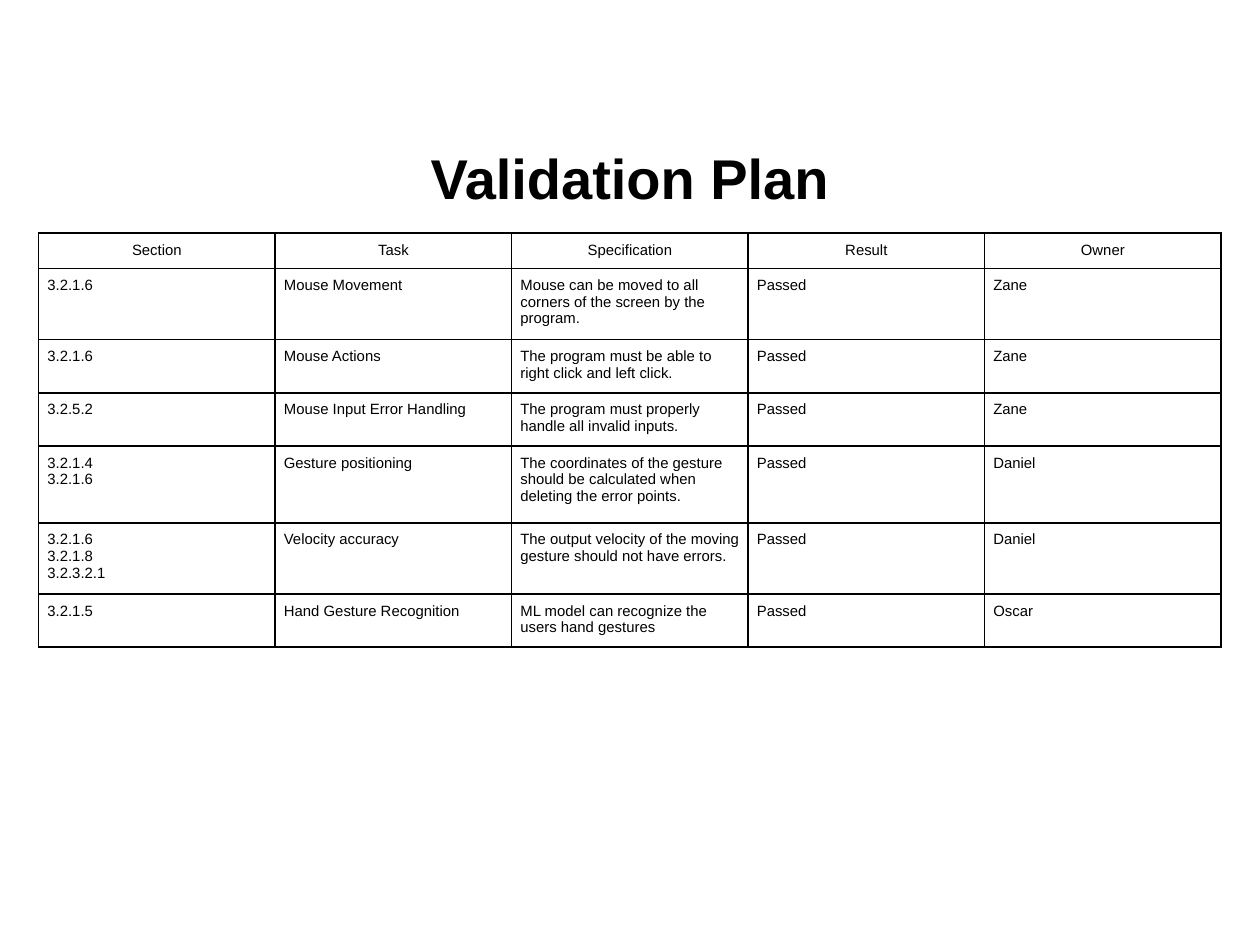
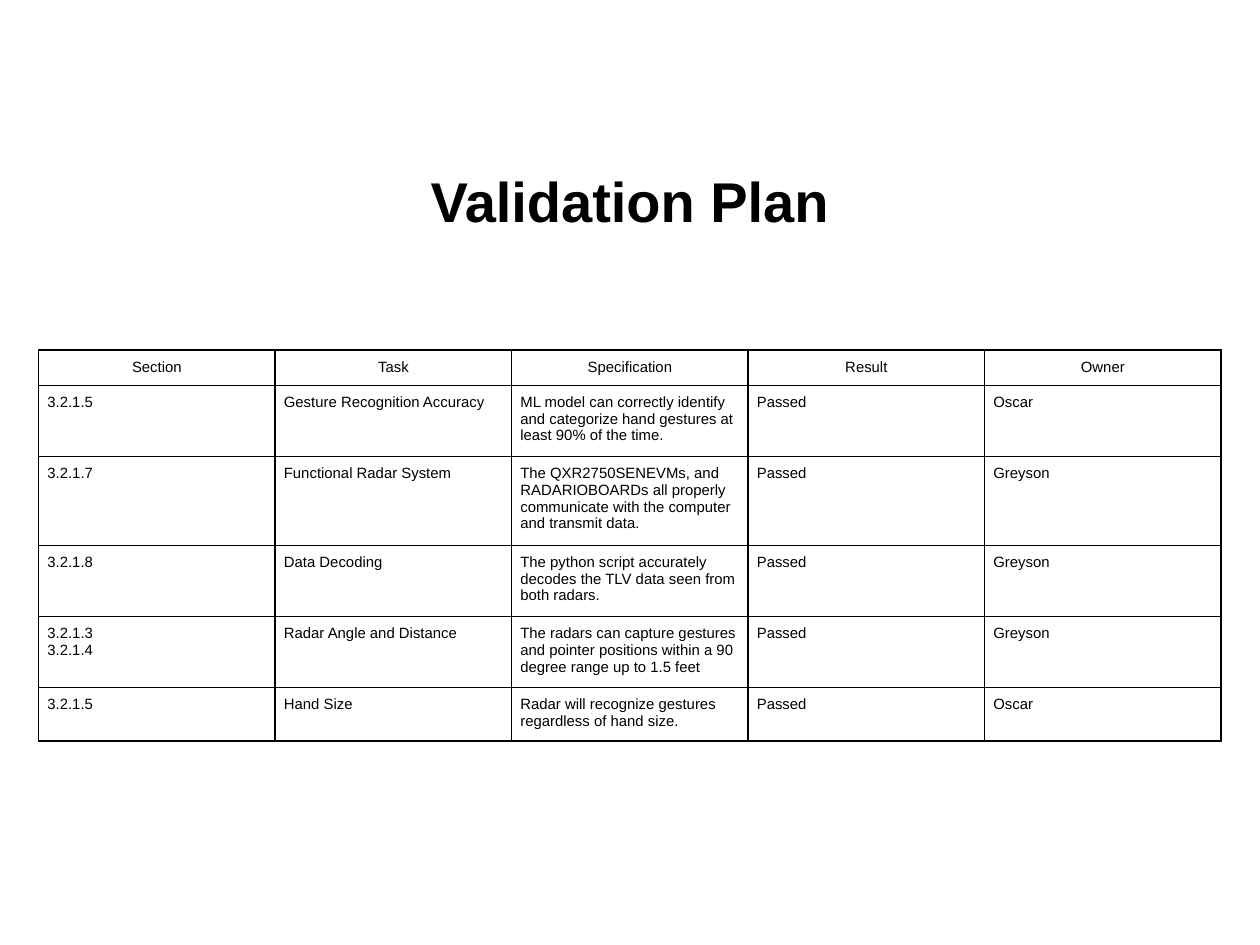
from dataclasses import dataclass

from lxml import etree
from pptx import Presentation
from pptx.dml.color import RGBColor
from pptx.enum import text
from pptx.oxml import ns
from pptx.util import Pt

BLACK = RGBColor(0x00, 0x00, 0x00)
FONT = "Arial"
TITLE_FONT = {"name": FONT, "size": Pt(32), "bold": True}
CELL_FONT = {"name": FONT, "size": Pt(8.5), "bold": False}
CELL_MARGINS = {f"margin_{side}": Pt(5) for side in ("left", "top", "right", "bottom")}
TITLE_LEFT, TITLE_WIDTH, TITLE_HEIGHT = 36, 648, 63
TABLE_LEFT, COLUMN_WIDTH = 22.1, 135.14
ONE_LINE_HEIGHT, EXTRA_LINE_HEIGHT = 19.3, 9.55
HEADINGS = ("Section", "Task", "Specification", "Result", "Owner")


@dataclass(frozen=True)
class Check:
    sections: str
    task: str
    specification: str
    owner: str
    lines: int
    extra_height: float = 0
    result: str = "Passed"

    @property
    def values(self) -> tuple[str, ...]:
        return self.sections, self.task, self.specification, self.result, self.owner

    @property
    def height(self) -> float:
        return row_height(self.lines) + self.extra_height


@dataclass(frozen=True)
class PlanSlide:
    title_top: float
    table_top: float
    checks: tuple[Check, ...]


PLAN_SLIDES = (
    PlanSlide(69.8, 133.2, (
        Check("3.2.1.6", "Mouse Movement",
              "Mouse can be moved to all corners of the screen by the program.", "Zane", 3, 2),
        Check("3.2.1.6", "Mouse Actions",
              "The program must be able to right click and left click.", "Zane", 2),
        Check("3.2.5.2", "Mouse Input Error Handling",
              "The program must properly handle all invalid inputs.", "Zane", 2),
        Check("3.2.1.4\n3.2.1.6", "Gesture positioning",
              "The coordinates of the gesture should be calculated when deleting the error points.",
              "Daniel", 3, 5.5),
        Check("3.2.1.6\n3.2.1.8\n3.2.3.2.1", "Velocity accuracy",
              "The output velocity of the moving gesture should not have errors.", "Daniel", 3),
        Check("3.2.1.5", "Hand Gesture Recognition",
              "ML model can recognize the users hand gestures", "Oscar", 2),
    )),
    PlanSlide(82.8, 200.1, (
        Check("3.2.1.5", "Gesture Recognition Accuracy",
              "ML model can correctly identify and categorize hand gestures at least 90% of the time.",
              "Oscar", 3),
        Check("3.2.1.7", "Functional Radar System",
              "The QXR2750SENEVMs, and RADARIOBOARDs all properly communicate with the computer "
              "and transmit data.", "Greyson", 4),
        Check("3.2.1.8", "Data Decoding",
              "The python script accurately decodes the TLV data seen from both radars.",
              "Greyson", 3),
        Check("3.2.1.3\n3.2.1.4", "Radar Angle and Distance",
              "The radars can capture gestures and pointer positions within a 90 degree range "
              "up to 1.5 feet", "Greyson", 3),
        Check("3.2.1.5", "Hand Size",
              "Radar will recognize gestures regardless of hand size.", "Oscar", 2),
    )),
)


def row_height(lines: int) -> float:
    return ONE_LINE_HEIGHT + EXTRA_LINE_HEIGHT * (lines - 1)


def write_text(frame, content: str, font_format: dict, alignment) -> None:
    frame.text = content
    for paragraph in frame.paragraphs:
        paragraph.alignment = alignment
        for run in paragraph.runs:
            for attribute, value in font_format.items():
                setattr(run.font, attribute, value)
            run.font.color.rgb = BLACK


def add_borders(cell) -> None:
    properties = cell._tc.get_or_add_tcPr()
    for side in ("lnL", "lnR", "lnT", "lnB"):
        border = etree.SubElement(properties, ns.qn(f"a:{side}"), w=str(Pt(1)))
        fill = etree.SubElement(border, ns.qn("a:solidFill"))
        etree.SubElement(fill, ns.qn("a:srgbClr"), val=str(BLACK))


def add_title(slide, top: float) -> None:
    title = slide.shapes.add_textbox(
        Pt(TITLE_LEFT), Pt(top), Pt(TITLE_WIDTH), Pt(TITLE_HEIGHT)).text_frame
    title.word_wrap = True
    title.vertical_anchor = text.MSO_ANCHOR.MIDDLE
    write_text(title, "Validation Plan", TITLE_FONT, text.PP_ALIGN.CENTER)


def add_plan_table(slide, top: float, checks: tuple[Check, ...]) -> None:
    rows = [HEADINGS, *(check.values for check in checks)]
    heights = [row_height(1), *(check.height for check in checks)]
    table = slide.shapes.add_table(
        len(rows), len(HEADINGS), Pt(TABLE_LEFT), Pt(top),
        Pt(COLUMN_WIDTH * len(HEADINGS)), Pt(sum(heights))).table
    table.first_row = table.horz_banding = False
    for column in table.columns:
        column.width = Pt(COLUMN_WIDTH)
    for row_index, (values, height) in enumerate(zip(rows, heights)):
        table.rows[row_index].height = Pt(height)
        alignment = text.PP_ALIGN.LEFT if row_index else text.PP_ALIGN.CENTER
        for cell, value in zip(table.rows[row_index].cells, values):
            for attribute, margin in CELL_MARGINS.items():
                setattr(cell, attribute, margin)
            write_text(cell.text_frame, value, CELL_FONT, alignment)
            add_borders(cell)
            cell.fill.background()


def main() -> None:
    presentation = Presentation()
    presentation.slide_width, presentation.slide_height = Pt(720), Pt(540)
    for plan in PLAN_SLIDES:
        slide = presentation.slides.add_slide(presentation.slide_layouts[6])
        add_title(slide, plan.title_top)
        add_plan_table(slide, plan.table_top, plan.checks)
    presentation.save("out.pptx")


if __name__ == "__main__":
    main()
